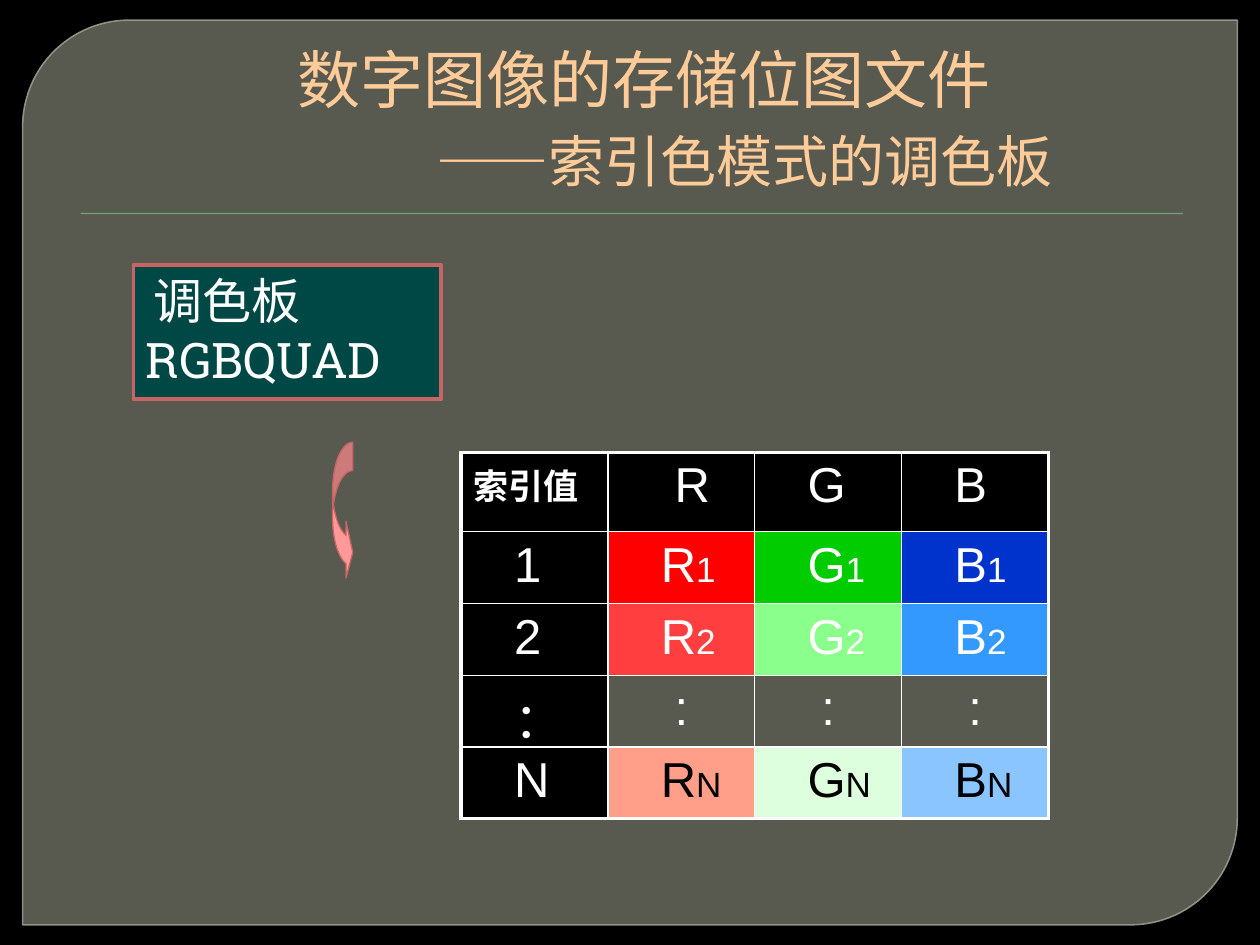
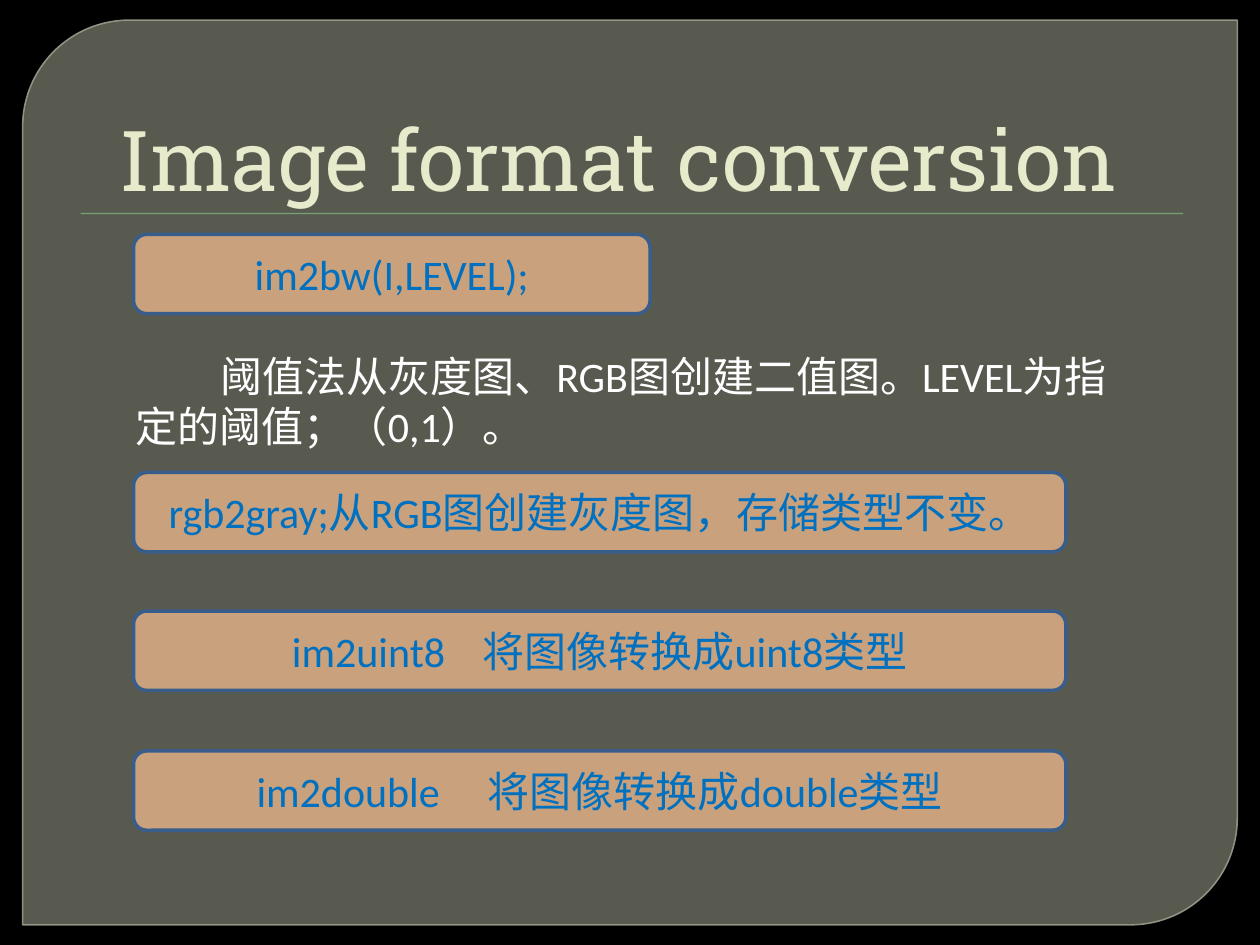
from dataclasses import dataclass, field
from typing import Any

from lxml.etree import SubElement
from pptx import Presentation
from pptx.dml.color import RGBColor
from pptx.enum.shapes import MSO_SHAPE
from pptx.enum.text import MSO_ANCHOR, PP_ALIGN
from pptx.oxml import parse_xml
from pptx.oxml.ns import nsdecls, qn
from pptx.util import Pt

PX = 9144  # EMU in one px, 100 px to the inch


@dataclass(frozen=True)
class Theme:
    backdrop: str = "000000"
    panel: str = "888B7B"
    panel_edge: str = "9DA090"
    rule: str = "72A376"
    title_warm: str = "FFCC99"
    title_pale: str = "E7EACB"
    white: str = "FFFFFF"
    black: str = "000000"
    rose: str = "C86464"
    arrow: str = "FF9999"
    palette_box: str = "004846"
    button: str = "FAC090"
    button_edge: str = "385D8A"
    button_text: str = "0070C0"
    sans: str = "Arial"
    body: str = "Calibri"
    slab: str = "Roboto Slab"
    chinese: str = "Noto Sans CJK SC"
    title_size: int = 36
    subtitle_size: int = 32
    heading_size: int = 48
    text_size: int = 24
    table_size: int = 28
    small_size: int = 20


THEME = Theme()


@dataclass(frozen=True)
class Area:
    left: int
    top: int
    width: int
    height: int

    def emu(self) -> tuple[int, ...]:
        return tuple(n * PX for n in (self.left, self.top, self.width, self.height))


@dataclass(frozen=True)
class Span:
    text: str
    font: str
    size: int
    color: str
    bold: bool = False
    spacing: int = 0  # extra points after each character


@dataclass(frozen=True)
class Line:
    spans: tuple[Span, ...]
    margin: int = 0
    indent: int = 0
    format: dict[str, Any] = field(default_factory=dict)


@dataclass(frozen=True)
class Look:
    fill: str
    edge: str | None = None
    weight: float = 1
    fill_alpha: int = 100
    edge_alpha: int = 100
    adjust: tuple[float, ...] = ()


@dataclass(frozen=True)
class Button:
    area: Area
    texts: tuple[str, ...]
    gap: int = 0


def apply(target: Any, values: dict[str, Any]) -> None:
    for name, value in values.items():
        setattr(target, name, value)


def set_alpha(fill_parent: Any, percent: int) -> None:
    if percent < 100:
        color = next(fill_parent.iter(qn("a:srgbClr")))
        SubElement(color, qn("a:alpha")).set("val", str(percent * 1000))


def write(frame: Any, lines: list[Line], **frame_format: Any) -> None:
    apply(frame, {"word_wrap": True, **frame_format})
    for number, line in enumerate(lines):
        para = frame.add_paragraph() if number else frame.paragraphs[0]
        apply(para, line.format)
        properties = para._p.get_or_add_pPr()
        properties.set("marL", str(line.margin * PX))
        properties.set("indent", str(line.indent * PX))
        for span in line.spans:
            run = para.add_run()
            run.text = span.text
            apply(run.font, {"name": span.font, "size": Pt(span.size), "bold": span.bold})
            run.font.color.rgb = RGBColor.from_string(span.color)
            if span.spacing:
                run._r.get_or_add_rPr().set("spc", str(span.spacing * 100))


def draw_shape(page: Any, kind: MSO_SHAPE, area: Area, look: Look) -> Any:
    shape = page.shapes.add_shape(kind, *area.emu())
    shape.shadow.inherit = False
    for index, value in enumerate(look.adjust):
        shape.adjustments[index] = value
    shape.fill.solid()
    shape.fill.fore_color.rgb = RGBColor.from_string(look.fill)
    set_alpha(shape._element.spPr.find(qn("a:solidFill")), look.fill_alpha)
    if look.edge is None:
        shape.line.fill.background()
    else:
        shape.line.color.rgb = RGBColor.from_string(look.edge)
        shape.line.width = Pt(look.weight)
        set_alpha(shape._element.spPr.find(qn("a:ln")), look.edge_alpha)
    return shape


def draw_text(page: Any, area: Area, lines: list[Line], **frame_format: Any) -> None:
    box = page.shapes.add_textbox(*area.emu())
    write(box.text_frame, lines, **frame_format)


def add_page(deck: Any) -> Any:
    """Add a blank slide with the rounded panel and the rule under the title."""
    page = deck.slides.add_slide(deck.slide_layouts[6])
    page.background.fill.solid()
    page.background.fill.fore_color.rgb = RGBColor.from_string(THEME.backdrop)
    panel = Look(THEME.panel, THEME.panel_edge, 0.87, 65, 88, (0.118, 0))
    draw_shape(page, MSO_SHAPE.ROUND_2_DIAG_RECTANGLE, Area(18, 16, 964, 718), panel)
    draw_shape(page, MSO_SHAPE.RECTANGLE, Area(64, 169, 875, 1), Look(THEME.rule))
    return page


def draw_borders(cell: Any, weights: dict[str, float]) -> None:
    properties = cell._tc.get_or_add_tcPr()
    for index, (side, weight) in enumerate(weights.items()):
        properties.insert(index, parse_xml(
            f'<a:ln{side} {nsdecls("a")} w="{Pt(weight)}"><a:solidFill>'
            f'<a:srgbClr val="{THEME.white}"/></a:solidFill></a:ln{side}>'))


def draw_index_table(page: Any) -> None:
    heights = (63, 57, 57, 57, 56)
    channels = "RGB"
    indexes = ("1", "2", "：", "N")
    shades = (
        ("FF0000", "00CC00", "0033CC"),
        ("FF3F3F", "8BFF8B", "3399FF"),
        (None, None, None),
        ("FF9F89", "DDFFDD", "8BC5FF"),
    )
    narrow, wide = 32, 43

    def span(text: str, size: int = THEME.table_size, color: str = THEME.white,
             bold: bool = False) -> Span:
        return Span(text, THEME.sans, size, color, bold)

    def channel_line(channel: str, index: str) -> Line:
        if index == "：":
            return Line((span(":"),), wide)
        color = THEME.black if index == "N" else THEME.white
        return Line((span(channel, color=color),
                     span(index, THEME.small_size, color)), narrow)

    header = [Line((span("索引值", THEME.small_size, bold=True),))]
    header += [Line((span(c),), wide if c == "R" else narrow) for c in channels]
    rows = [header]
    for index in indexes:
        rows.append([Line((span(index),), narrow)]
                    + [channel_line(c, index) for c in channels])
    fills = [(THEME.black,) * 4] + [(THEME.black, *shade) for shade in shades]

    area = Area(366, 359, 466, sum(heights))
    table = page.shapes.add_table(len(rows), len(header), *area.emu()).table
    apply(table, {"first_row": False, "horz_banding": False})
    for row, height in zip(table.rows, heights):
        row.height = height * PX
    last_row, last_column = len(rows) - 1, len(header) - 1
    for r, (lines, colors) in enumerate(zip(rows, fills)):
        for c, (line, color) in enumerate(zip(lines, colors)):
            cell = table.cell(r, c)
            write(cell.text_frame, [line])
            if color is None:
                cell.fill.background()
            else:
                cell.fill.solid()
                cell.fill.fore_color.rgb = RGBColor.from_string(color)
            outer = {"L": c == 0, "R": c == last_column, "T": r == 0, "B": r == last_row}
            draw_borders(cell, {side: 2.25 if edge else 1 for side, edge in outer.items()})


def build_palette_page(deck: Any) -> None:
    page = add_page(deck)
    centred = {"alignment": PP_ALIGN.CENTER}
    draw_text(page, Area(50, 27, 917, 157), [
        Line((Span("数字图像的存储位图文件", THEME.chinese, THEME.title_size,
                   THEME.title_warm),), 6, 0, centred),
        Line((Span("——", THEME.sans, THEME.subtitle_size, THEME.title_warm),
              Span("索引色模式的调色板", THEME.chinese, THEME.subtitle_size,
                   THEME.title_warm)), 165, 0, {**centred, "space_before": Pt(6)}),
    ])
    draw_shape(page, MSO_SHAPE.CURVED_RIGHT_ARROW, Area(264, 351, 16, 110),
               Look(THEME.arrow, THEME.rose, 0.75, adjust=(1.411, 2.822, 0.333)))
    box = draw_shape(page, MSO_SHAPE.RECTANGLE, Area(106, 210, 244, 107),
                     Look(THEME.palette_box, THEME.rose, 2.25))
    left = {"alignment": PP_ALIGN.LEFT}
    write(box.text_frame, [
        Line((Span(text, THEME.slab, THEME.table_size, THEME.white),), margin, 0, left)
        for text, margin in (("调色板", 6), ("RGBQUAD", 0))
    ], vertical_anchor=MSO_ANCHOR.TOP)
    draw_index_table(page)


def draw_button(page: Any, button: Button) -> None:
    look = Look(THEME.button, THEME.button_edge, 2, 70, adjust=(0.167,))
    shape = draw_shape(page, MSO_SHAPE.ROUNDED_RECTANGLE, button.area, look)
    spans = tuple(
        Span(text, THEME.body, THEME.text_size, THEME.button_text,
             spacing=button.gap if text == " " else 0)
        for text in button.texts)
    write(shape.text_frame, [Line(spans, format={"alignment": PP_ALIGN.CENTER})],
          vertical_anchor=MSO_ANCHOR.MIDDLE)


def build_conversion_page(deck: Any) -> None:
    page = add_page(deck)
    title = Span("Image format conversion", THEME.slab, THEME.heading_size, THEME.title_pale)
    draw_text(page, Area(51, 21, 900, 149),
              [Line((title,), format={"alignment": PP_ALIGN.CENTER})],
              vertical_anchor=MSO_ANCHOR.BOTTOM, margin_left=5 * PX, margin_right=25 * PX)
    draw_button(page, Button(Area(106, 186, 410, 63), ("im2bw(I,LEVEL);",)))
    wide_buttons = (
        (("rgb2gray;从RGB图创建灰度图，存储类型不变。",), 0),
        (("im2uint8", " ", "将图像转换成uint8类型"), 16),
        (("im2double", " ", "将图像转换成double类型"), 22),
    )
    for number, (texts, gap) in enumerate(wide_buttons):
        area = Area(106, 375 + round(110.5 * number), 740, 63)
        draw_button(page, Button(area, texts, gap))
    note = Span("阈值法从灰度图、RGB图创建二值图。LEVEL为指定的阈值；（0,1）。",
                THEME.body, THEME.text_size, THEME.white)
    draw_text(page, Area(98, 273, 811, 91), [Line((note,), indent=67)])


def main() -> None:
    deck = Presentation()
    apply(deck, {"slide_width": 1000 * PX, "slide_height": 750 * PX})
    build_palette_page(deck)
    build_conversion_page(deck)
    deck.save("out.pptx")


if __name__ == "__main__":
    main()
